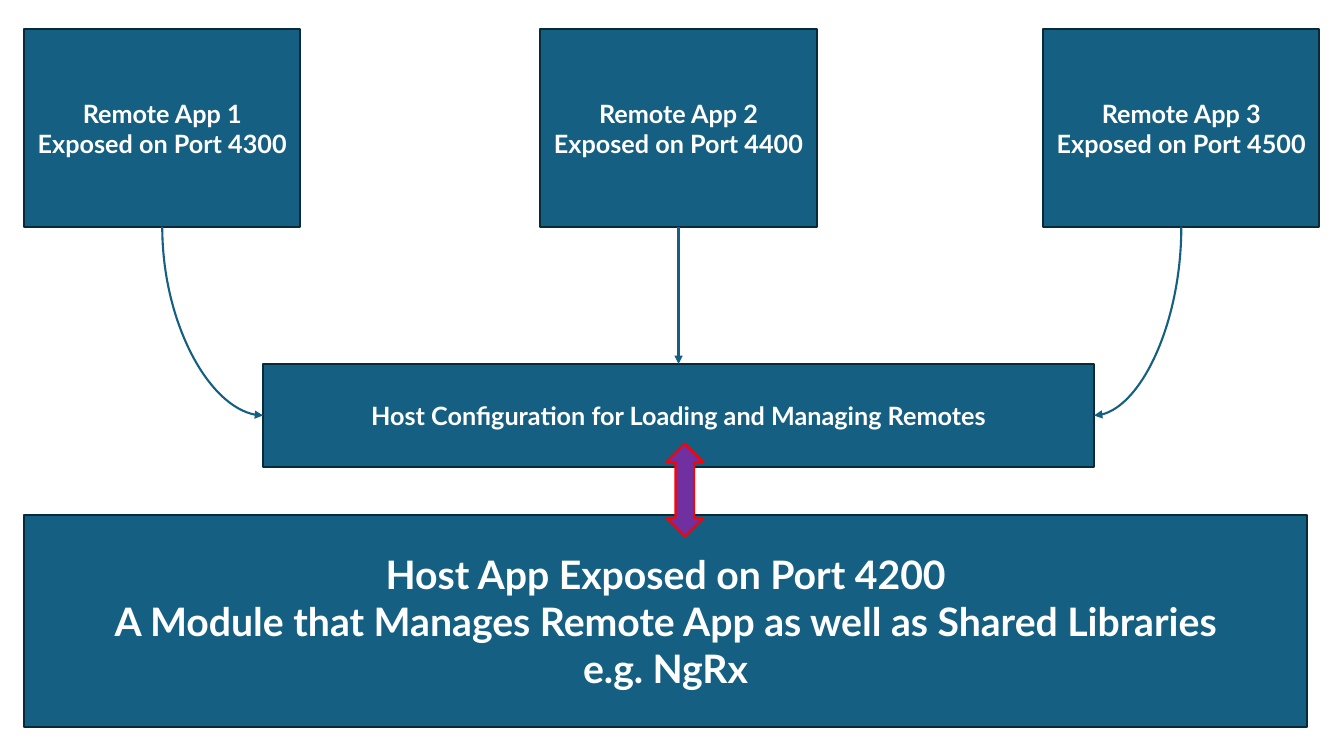
from dataclasses import dataclass

import pptx
import pptx.dml.color
import pptx.enum.shapes
import pptx.enum.text
import pptx.oxml
import pptx.oxml.ns
import pptx.util
from pptx.util import Cm

SHAPE = pptx.enum.shapes.MSO_SHAPE
CONNECTOR = pptx.enum.shapes.MSO_CONNECTOR
TOP, LEFT, BOTTOM, RIGHT = range(4)
BLUE, NAVY, WHITE, PURPLE, RED = "156082", "092A39", "FFFFFF", "7030A0", "FF0000"


@dataclass
class Block:
    """A box of the diagram: lengths in centimetres, one line per paragraph."""
    left: float
    top: float
    width: float
    height: float
    lines: tuple[str, ...] = ()
    size: int = 18
    kind: int = SHAPE.RECTANGLE
    fill: str = BLUE
    line: str = NAVY


@dataclass
class Remote:
    number: int
    left: float
    config_side: int


def rgb(code: str) -> pptx.dml.color.RGBColor:
    return pptx.dml.color.RGBColor.from_string(code)


def write(paragraph, text: str, *, size: int, color: str = WHITE,
          bold: bool = True, font: str = "Lato") -> None:
    paragraph.alignment = pptx.enum.text.PP_ALIGN.CENTER
    run = paragraph.add_run()
    run.text = text
    run.font.name, run.font.bold = font, bold
    run.font.size = pptx.util.Pt(size)
    run.font.color.rgb = rgb(color)


def draw_block(slide, block: Block):
    shape = slide.shapes.add_shape(block.kind, Cm(block.left), Cm(block.top),
                                   Cm(block.width), Cm(block.height))
    shape.shadow.inherit = False
    shape.fill.solid()
    shape.fill.fore_color.rgb = rgb(block.fill)
    shape.line.color.rgb = rgb(block.line)
    shape.line.width = pptx.util.Pt(1.5)
    frame = shape.text_frame
    frame.vertical_anchor = pptx.enum.text.MSO_ANCHOR.MIDDLE
    for index, text in enumerate(block.lines):
        paragraph = frame.add_paragraph() if index else frame.paragraphs[0]
        write(paragraph, text, size=block.size)
    return shape


def bend_once(connector) -> None:
    """Turn a curve into a quarter bend that leaves downwards and ends sideways."""
    x1, y1 = connector.begin_x, connector.begin_y
    x2, y2 = connector.end_x, connector.end_y
    run, drop = abs(x2 - x1), y2 - y1
    connector.left = (x1 + x2 - drop) // 2
    connector.top = (y1 + y2 - run) // 2
    connector.width, connector.height = drop, run
    properties = connector._element.spPr
    frame = properties.find(pptx.oxml.ns.qn("a:xfrm"))
    to_right = x2 > x1
    frame.set("rot", str((270 if to_right else 90) * 60000))
    frame.set("flipH", "1" if to_right else "0")
    frame.set("flipV", "0")
    properties.find(pptx.oxml.ns.qn("a:prstGeom")).set("prst", "curvedConnector2")


def draw_arrow(slide, source, target, side: int) -> None:
    straight = side == TOP
    kind = CONNECTOR.STRAIGHT if straight else CONNECTOR.CURVE
    connector = slide.shapes.add_connector(kind, 0, 0, 0, 0)
    connector.begin_connect(source, BOTTOM)
    connector.end_connect(target, side)
    if not straight:
        bend_once(connector)
    connector.line.color.rgb = rgb(BLUE)
    connector.line.width = pptx.util.Pt(1.5)
    namespace = pptx.oxml.ns.nsdecls("a")
    connector.line._get_or_add_ln().append(
        pptx.oxml.parse_xml(f'<a:tailEnd {namespace} type="triangle"/>'))
    connector._element.spPr.append(
        pptx.oxml.parse_xml(f"<a:effectLst {namespace}/>"))


HOST = Block(0.61, 12.98, 32.33, 5.33, (
    "Host App Exposed on Port 4200",
    "A Module that Manages Remote App as well as Shared Libraries",
    "e.g. NgRx",
), size=28)
CONFIGURATION = Block(6.63, 9.17, 20.94, 2.6,
                      ("Host Configuration for Loading and Managing Remotes",))
EXCHANGE = Block(16.79, 11.18, 0.94, 2.34, kind=SHAPE.UP_DOWN_ARROW,
                 fill=PURPLE, line=RED)
REMOTES = (Remote(1, 0.61, LEFT), Remote(2, 13.62, TOP), Remote(3, 26.29, RIGHT))


def main() -> None:
    presentation = pptx.Presentation()
    presentation.slide_width, presentation.slide_height = Cm(33.87), Cm(19.05)
    slide = presentation.slides.add_slide(presentation.slide_layouts[6])

    # Host and its configuration
    draw_block(slide, HOST)
    configuration = draw_block(slide, CONFIGURATION)

    # Remotes, each with an arrow to the configuration
    for remote in REMOTES:
        lines = (f"Remote App {remote.number}",
                 f"Exposed on Port {4200 + 100 * remote.number}")
        remote_app = draw_block(slide, Block(remote.left, 0.74, 6.96, 4.98, lines))
        draw_arrow(slide, remote_app, configuration, remote.config_side)

    # Exchange between configuration and host
    draw_block(slide, EXCHANGE)

    presentation.save("out.pptx")


if __name__ == "__main__":
    main()
